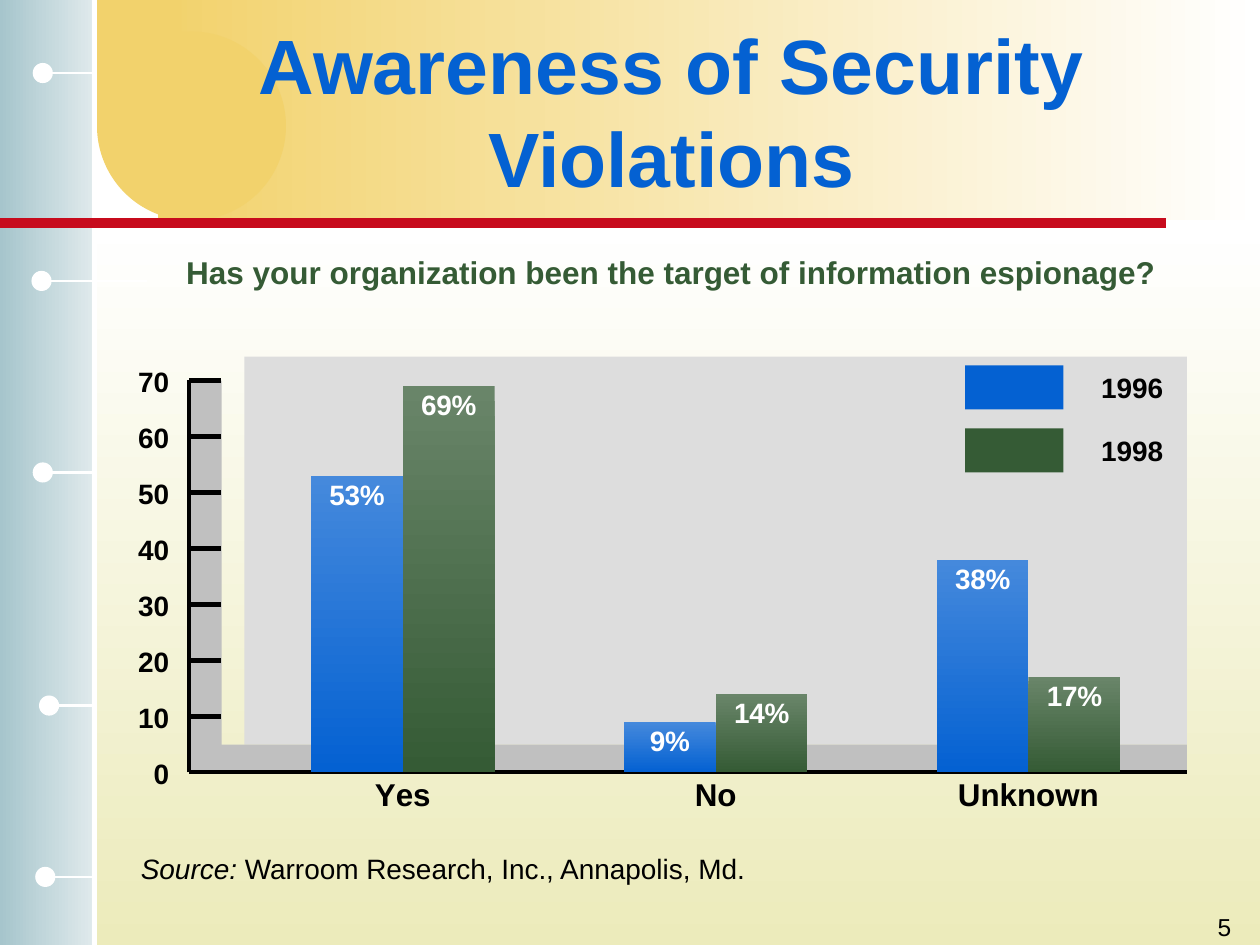
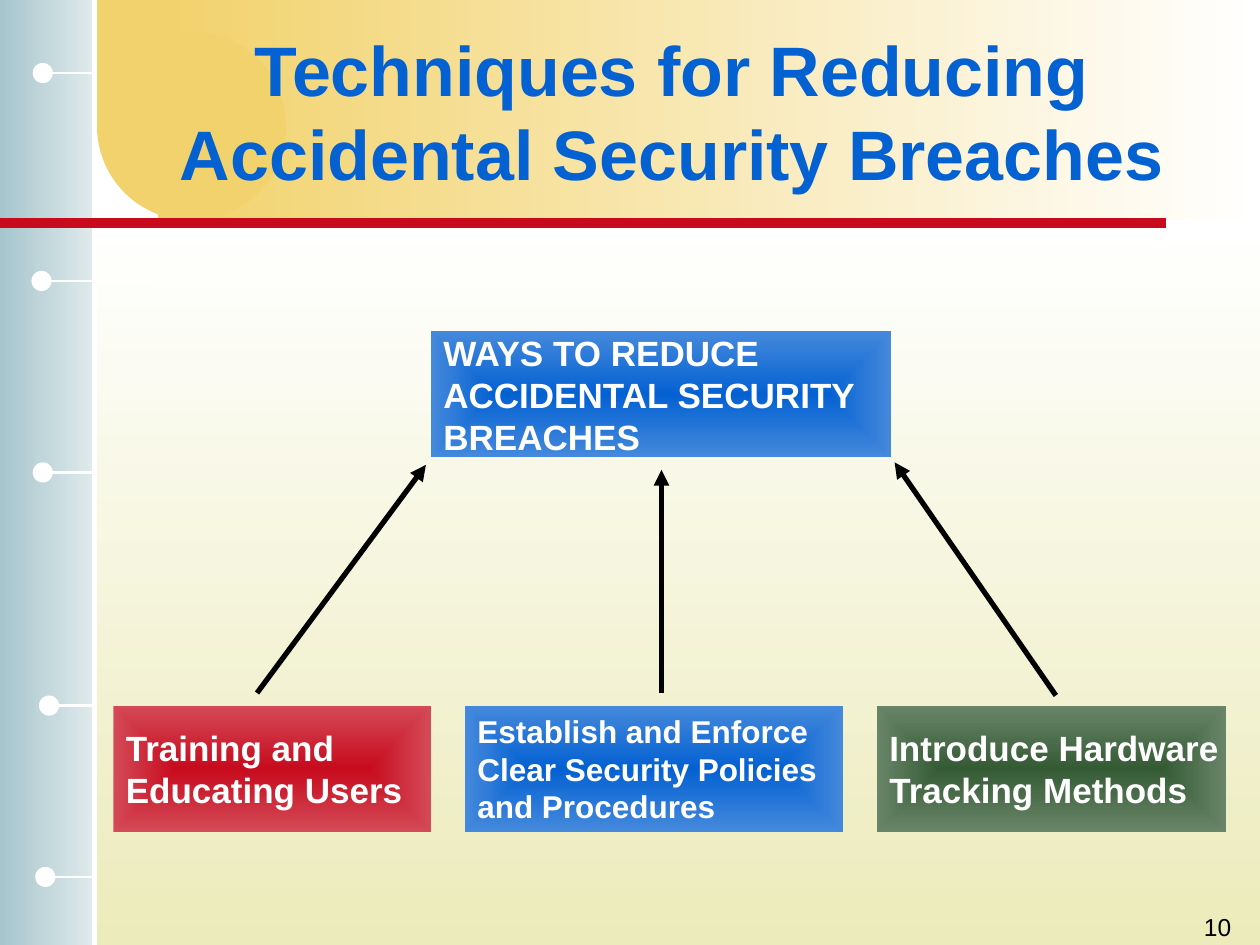
from lxml import etree
from pptx import Presentation
from pptx.chart.data import CategoryChartData
from pptx.dml.color import RGBColor
from pptx.enum.chart import XL_CHART_TYPE as ChartType, XL_LABEL_POSITION as LabelPosition
from pptx.enum.chart import XL_TICK_MARK as TickMark
from pptx.enum.shapes import MSO_CONNECTOR as Connector, MSO_SHAPE as Shape
from pptx.enum.text import MSO_ANCHOR as Anchor, MSO_AUTO_SIZE as AutoSize, PP_ALIGN as Align
from pptx.oxml import parse_xml
from pptx.oxml.ns import nsdecls, qn
from pptx.util import Inches, Pt

FONT = "Arial"
WHITE, BLACK = "FFFFFF", "000000"
BLUE, LIGHT_BLUE = "0461D2", "4589DC"
GREEN, LIGHT_GREEN = "355B35", "698569"
RED, LIGHT_RED = "C70B1D", "D44A58"
GOLD = "F2D26C"
PANEL, DEPTH = "DDDDDD", "C0C0C0"
DOWN, LEFTWARD = 270, 180


# Shared helpers
def color(value):
    return RGBColor.from_string(value)


def paint(fill, colors, angle=None):
    """Fill with one colour, a linear gradient, or a gradient from the centre."""
    if isinstance(colors, str):
        fill.solid()
        fill.fore_color.rgb = color(colors)
        return
    fill.gradient()
    for stop, value in zip(fill.gradient_stops, colors):
        stop.color.rgb = color(value)
    if angle is not None:
        fill.gradient_angle = angle


def add_block(slide, box, colors, angle=None, kind=Shape.RECTANGLE):
    shape = slide.shapes.add_shape(kind, *map(Inches, box))
    shape.shadow.inherit = False
    shape.line.fill.background()
    paint(shape.fill, colors, angle)
    return shape


def add_line(slide, start, end, value, width, arrow=False):
    line = slide.shapes.add_connector(Connector.STRAIGHT, *map(Inches, start + end))
    line.line.color.rgb = color(value)
    line.line.width = Pt(width)
    properties = line.element.spPr
    if arrow:
        etree.SubElement(properties.find(qn("a:ln")), qn("a:tailEnd"), type="triangle")
    etree.SubElement(properties, qn("a:effectLst"))


def set_font(font, size, value, bold=False):
    font.name, font.size, font.bold = FONT, Pt(size), bold
    font.color.rgb = color(value)


def add_text(slide, box, text, size, value=BLACK, bold=False, align=Align.LEFT,
             anchor=Anchor.TOP):
    frame = slide.shapes.add_textbox(*map(Inches, box)).text_frame
    frame.word_wrap = True
    frame.vertical_anchor = anchor
    paragraph = frame.paragraphs[0]
    paragraph.text = text
    paragraph.alignment = align
    set_font(paragraph.font, size, value, bold)
    return paragraph


# Master background
def add_background(presentation, slide):
    """Draw the template on a slide, then move it to the master."""
    add_block(slide, (0.73, 1.77, 9.27, 5.73), (WHITE, "ECEBBB"), DOWN)
    add_block(slide, (0, 0, 0.75, 7.5), ("E0EAEC", "A6C5CC"), LEFTWARD)
    add_block(slide, (1.25, 0, 8.75, 1.75), (WHITE, GOLD), LEFTWARD)
    add_block(slide, (0.77, 0.25, 1.5, 1.5), GOLD, kind=Shape.OVAL)
    add_block(slide, (0.77, 0, 0.67, 0.96), GOLD)
    add_line(slide, (0.75, 0), (0.75, 7.5), WHITE, 3)
    # Pins on the side band: dot left, centre height, line end
    pins = ((0.26, 0.58, 0.75), (0.25, 2.23, 1.17), (0.26, 3.75, 0.73),
            (0.31, 5.6, 0.75), (0.28, 6.96, 0.73))
    for left, middle, end in pins:
        add_line(slide, (end, middle), (left + 0.12, middle), WHITE, 1.5)
        add_block(slide, (left, middle - 0.08, 0.16, 0.16), WHITE, kind=Shape.OVAL)
    add_line(slide, (0, 1.77), (9.25, 1.77), RED, 6)

    tree = presentation.slide_master.element.cSld.spTree
    parts = [shape.element for shape in slide.shapes if not shape.is_placeholder]
    for position, part in enumerate(parts, 2):
        tree.insert(position, part)
    for number, properties in enumerate(tree.iter(qn("p:cNvPr")), 1):
        properties.set("id", str(number))


# Title and slide number
def add_frame(slide, title, size, number):
    shape = slide.shapes.title
    shape.left, shape.top, shape.width, shape.height = map(Inches, (1.08, 0.25, 8.5, 1.25))
    frame = shape.text_frame
    frame.text = title
    frame.auto_size = AutoSize.NONE
    frame.vertical_anchor = Anchor.MIDDLE
    frame.paragraphs[0].alignment = Align.CENTER
    set_font(frame.paragraphs[0].font, size, BLUE, bold=True)
    add_text(slide, (7.79, 7.19, 2.08, 0.5), str(number), 14, align=Align.RIGHT)


# Espionage chart
def add_scale(slide, box):
    """Grey panels and a 0 to 70 scale around the plot."""
    left, top, width, height = box
    right, bottom = left + width, top + height
    first_tick = top + 0.19
    step = (bottom - first_tick) / 7
    add_block(slide, (left + 0.44, top, width - 0.44, height - 0.22), PANEL)
    add_block(slide, (left, bottom - 0.22, width, 0.22), DEPTH)
    add_block(slide, (left, first_tick, 0.26, bottom - first_tick), DEPTH)
    add_line(slide, (left, bottom), (right, bottom), BLACK, 2.25)
    add_line(slide, (left, bottom), (left, first_tick), BLACK, 2.25)
    for index in range(8):
        tick = bottom - index * step
        if index:
            add_line(slide, (left, tick), (left + 0.25, tick), BLACK, 3)
        add_text(slide, (left - 0.66, tick - 0.18, 0.6, 0.37), str(index * 10), 16,
                 bold=True, align=Align.RIGHT, anchor=Anchor.MIDDLE)


def add_bars(slide, box):
    data = CategoryChartData(number_format='0"%"')
    data.categories = ("Yes", "No", "Unknown")
    data.add_series("1996", (53, 9, 38))
    data.add_series("1998", (69, 14, 17))
    left, top, width, height = box
    frame_height = height + 0.6
    chart = slide.shapes.add_chart(ChartType.COLUMN_CLUSTERED, *map(
        Inches, (left, top, width, frame_height)), data).chart
    chart.has_title = chart.has_legend = False
    set_font(chart.font, 18, BLACK, bold=True)

    values, categories = chart.value_axis, chart.category_axis
    values.minimum_scale, values.maximum_scale = 0, 70
    values.has_major_gridlines = values.visible = False
    categories.major_tick_mark = TickMark.NONE
    categories.format.line.color.rgb = color(BLACK)
    categories.format.line.width = Pt(2.25)

    plot = chart.plots[0]
    plot.gap_width, plot.overlap = 141, 0
    plot.vary_by_categories = False
    plot.has_data_labels = True
    labels = plot.data_labels
    labels.show_value = True
    labels.position = LabelPosition.INSIDE_END
    set_font(labels.font, 16, WHITE, bold=True)
    for series, colors in zip(plot.series, ((LIGHT_BLUE, BLUE), (LIGHT_GREEN, GREEN))):
        paint(series.format.fill, colors, DOWN)

    # Fixed plot area and clear backgrounds
    chart_element = chart.element.find(qn("c:chart"))
    plot_area = chart_element.find(qn("c:plotArea"))
    for layout in plot_area.findall(qn("c:layout")):
        plot_area.remove(layout)
    plot_area.insert(0, parse_xml(
        f'<c:layout {nsdecls("c")}><c:manualLayout><c:layoutTarget val="inner"/>'
        '<c:xMode val="edge"/><c:yMode val="edge"/><c:x val="0"/>'
        f'<c:y val="{0.19 / frame_height:.4f}"/><c:w val="1"/>'
        f'<c:h val="{(height - 0.19) / frame_height:.4f}"/>'
        '</c:manualLayout></c:layout>'))
    clear = f'<c:spPr {nsdecls("c", "a")}><a:noFill/><a:ln><a:noFill/></a:ln></c:spPr>'
    plot_area.append(parse_xml(clear))
    chart_element.addnext(parse_xml(clear))


def add_legend(slide, left, top):
    for row, (year, value) in enumerate((("1996", BLUE), ("1998", GREEN))):
        y = top + 0.5 * row
        add_block(slide, (left, y, 0.78, 0.35), value)
        add_text(slide, (left + 0.98, y - 0.01, 0.72, 0.37), year, 16, bold=True,
                 anchor=Anchor.MIDDLE)


def build_awareness(slide):
    add_frame(slide, "Awareness of Security Violations", 44, 5)
    left, top, width, height = 1.5, 2.83, 7.92, 3.3
    add_scale(slide, (left, top, width, height))
    add_bars(slide, (left + 0.44, top, width - 0.44, height))
    add_legend(slide, left + 6.16, top + 0.07)
    add_text(slide, (1.38, 1.96, 8, 0.4),
             "Has your organization been the target of information espionage?",
             18, GREEN, bold=True)
    source = add_text(slide, (1.02, 6.71, 8.56, 0.37), "Source:", 16)
    source.runs[0].font.italic = True
    source.add_run().text = " Warroom Research, Inc., Annapolis, Md."


# Techniques diagram
def add_technique(slide, box, lines, size, colors):
    shape = add_block(slide, box, colors)
    gradient = shape.element.spPr.find(qn("a:gradFill"))
    gradient.replace(gradient.find(qn("a:lin")), parse_xml(
        f'<a:path {nsdecls("a")} path="rect">'
        '<a:fillToRect l="50000" t="50000" r="50000" b="50000"/></a:path>'))
    frame = shape.text_frame
    frame.text = "\n".join(lines)
    frame.word_wrap = False
    frame.vertical_anchor = Anchor.MIDDLE
    for paragraph in frame.paragraphs:
        paragraph.alignment = Align.LEFT
        set_font(paragraph.font, size, WHITE, bold=True)


def build_techniques(slide):
    add_frame(slide, "Techniques for Reducing Accidental Security Breaches", 40, 10)
    add_technique(slide, (3.42, 2.63, 3.65, 1),
                  ("WAYS TO REDUCE", "ACCIDENTAL SECURITY", "BREACHES"), 20,
                  (BLUE, LIGHT_BLUE))
    techniques = (
        (0.9, 2.52, ("Training and", "Educating Users"), 20, (RED, LIGHT_RED)),
        (3.69, 3, ("Establish and Enforce", "Clear Security Policies", "and Procedures"),
         18, (BLUE, LIGHT_BLUE)),
        (6.96, 2.77, ("Introduce Hardware", "Tracking Methods"), 20, (GREEN, LIGHT_GREEN)),
    )
    for left, width, lines, size, colors in techniques:
        add_technique(slide, (left, 5.6, width, 1), lines, size, colors)
    arrows = (((2.04, 5.5), (3.38, 3.69)), ((5.25, 5.5), (5.25, 3.73)),
              ((8.38, 5.52), (7.1, 3.67)))
    for start, end in arrows:
        add_line(slide, start, end, BLACK, 3, arrow=True)


def main():
    presentation = Presentation()
    presentation.slide_width, presentation.slide_height = Inches(10), Inches(7.5)
    title_only = presentation.slide_layouts[5]
    awareness = presentation.slides.add_slide(title_only)
    add_background(presentation, awareness)
    build_awareness(awareness)
    build_techniques(presentation.slides.add_slide(title_only))
    presentation.save("out.pptx")


if __name__ == "__main__":
    main()
